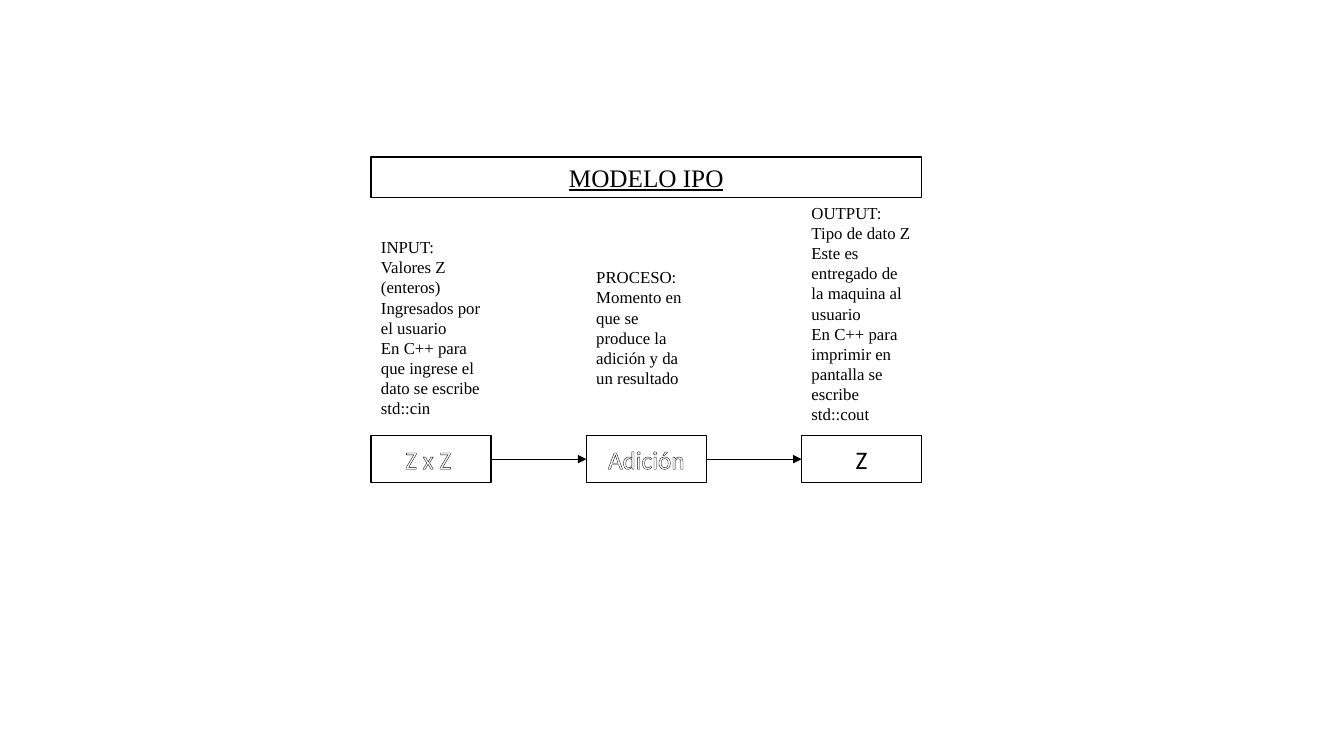
import pptx
import pptx.util
import pptx.dml.color
import pptx.enum.shapes
import pptx.enum.text
import pptx.oxml
import pptx.oxml.ns
from pptx.util import Inches, Pt

BLACK, WHITE = "000000", "FFFFFF"
SERIF, SANS = "Times New Roman", "Calibri"
LEFT, BOX_WIDTH, STEP = 3.68, 1.19, 2.135
FLOW_TOP, FLOW_HEIGHT = 4.32, 0.47
MIDDLE = FLOW_TOP + FLOW_HEIGHT / 2

# Label, label colour, note top, note height, note paragraphs
STAGES = [
    ("Z x Z ", WHITE, 2.3, 1.92,
     ["INPUT:", "Valores Z (enteros)", "Ingresados por el usuario",
      "En C++ para que ingrese el dato se escribe", "std::cin"]),
    ("Adición", WHITE, 2.6, 1.31,
     ["PROCESO:", "Momento en que se produce la adición y da un resultado"]),
    ("Z", BLACK, 1.96, 2.32,
     ["OUTPUT:", "Tipo de dato Z", "Este es entregado de la maquina al usuario",
      "En C++ para imprimir en pantalla se escribe", "std::cout"]),
]


def color(value):
    return pptx.dml.color.RGBColor.from_string(value)


def xml(tag, content="", attributes=""):
    namespace = pptx.oxml.ns.nsdecls("a")
    return pptx.oxml.parse_xml(f"<a:{tag} {namespace} {attributes}>{content}</a:{tag}>")


def write(box, lines, size, face, ink, align, grow=False):
    frame = box.text_frame
    frame.word_wrap = True
    if grow:
        frame.auto_size = pptx.enum.text.MSO_AUTO_SIZE.SHAPE_TO_FIT_TEXT
    frame.text = "\n".join(lines)
    for para in frame.paragraphs:
        para.alignment = align
        para.font.size = Pt(size)
        para.font.name = face
        para.font.color.rgb = color(ink)
    return frame


def add_frame(page, left, top, width, height):
    box = page.shapes.add_shape(pptx.enum.shapes.MSO_SHAPE.RECTANGLE,
                                Inches(left), Inches(top), Inches(width), Inches(height))
    box.shadow.inherit = False
    box.fill.solid()
    box.fill.fore_color.rgb = color(WHITE)
    box.line.color.rgb = color(BLACK)
    box.line.width = Pt(1)
    return box


def add_title(page, left, top, width, height):
    box = add_frame(page, left, top, width, height)
    frame = write(box, ["MODELO IPO"], 18, SERIF, BLACK,
                  pptx.enum.text.PP_ALIGN.CENTER, grow=True)
    frame.vertical_anchor = pptx.enum.text.MSO_ANCHOR.TOP
    frame.paragraphs[0].font.underline = True


def add_stage(page, left, top, width, height, label, ink):
    box = add_frame(page, left, top, width, height)
    frame = write(box, [label], 18, SANS, ink, pptx.enum.text.PP_ALIGN.CENTER)
    frame.vertical_anchor = pptx.enum.text.MSO_ANCHOR.MIDDLE
    # Outlined letters
    span = frame.paragraphs[0].runs[0]
    outline = f'<a:solidFill><a:srgbClr val="{BLACK}"/></a:solidFill>'
    span.font._element.insert(0, xml("ln", outline, f'w="{Pt(0.75)}"'))


def add_note(page, left, top, width, height, lines):
    box = page.shapes.add_textbox(Inches(left), Inches(top), Inches(width), Inches(height))
    write(box, lines, 12, SERIF, BLACK, pptx.enum.text.PP_ALIGN.LEFT, grow=True)


def add_arrow(page, start, end, height):
    arrow = page.shapes.add_connector(pptx.enum.shapes.MSO_CONNECTOR.STRAIGHT,
                                      Inches(start), Inches(height),
                                      Inches(end), Inches(height))
    arrow.line.color.rgb = color(BLACK)
    arrow.line.width = Pt(0.5)
    arrow.line._get_or_add_ln().append(xml("tailEnd", attributes='type="triangle"'))
    arrow._element.spPr.append(xml("effectLst"))


def main():
    deck = pptx.Presentation()
    deck.slide_width, deck.slide_height = Inches(13.33), Inches(7.5)
    page = deck.slides.add_slide(deck.slide_layouts[6])

    add_title(page, LEFT, 1.56, 2 * STEP + BOX_WIDTH, 0.4)

    # Input, process and output columns
    for index, (label, ink, note_top, note_height, lines) in enumerate(STAGES):
        left = LEFT + index * STEP
        add_stage(page, left, FLOW_TOP, BOX_WIDTH, FLOW_HEIGHT, label, ink)
        add_note(page, left, note_top, BOX_WIDTH, note_height, lines)
        if index:
            add_arrow(page, left - STEP + BOX_WIDTH, left, MIDDLE)

    deck.save("out.pptx")


if __name__ == "__main__":
    main()
